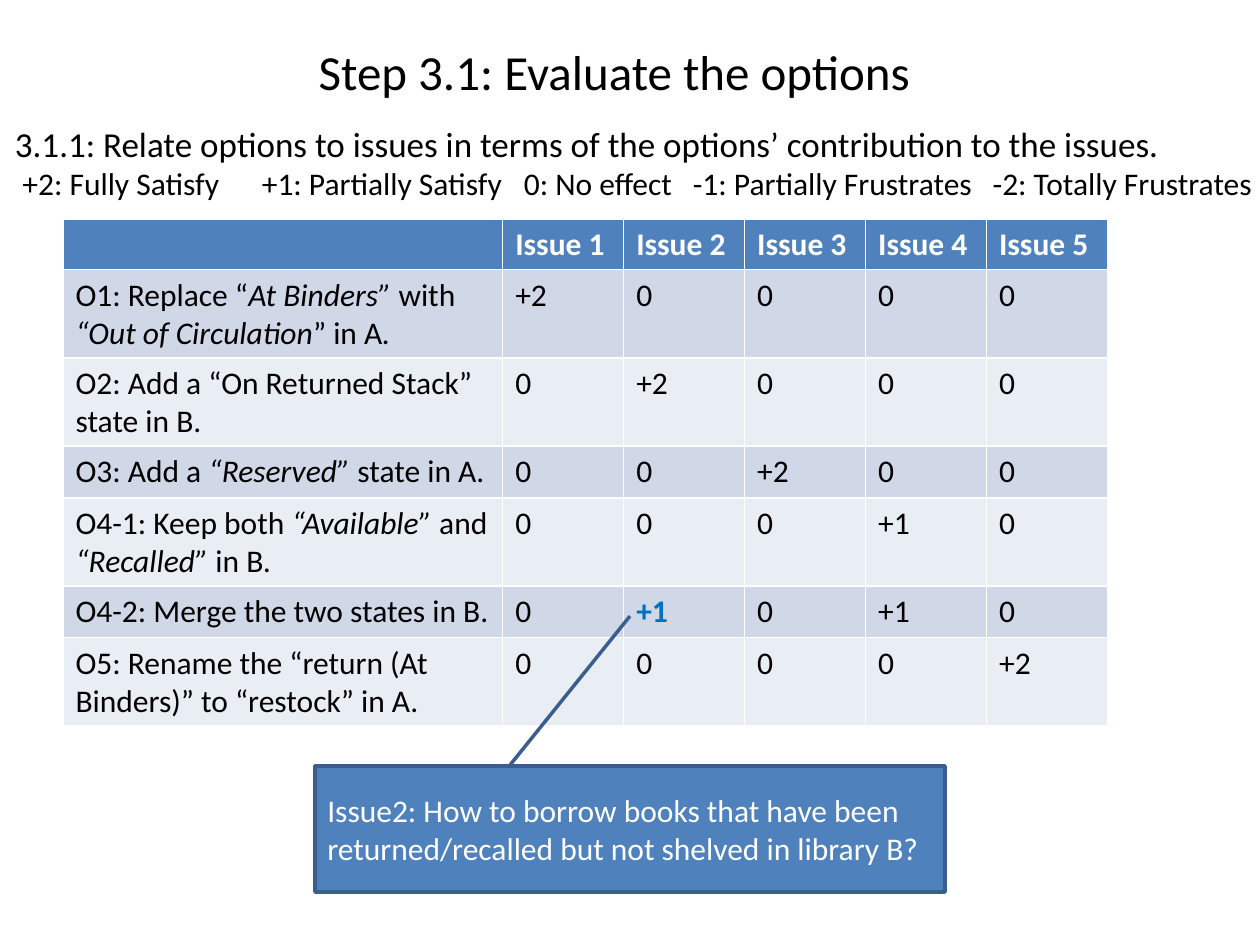
from lxml.etree import SubElement
from pptx import Presentation
from pptx.dml.color import RGBColor
from pptx.enum.shapes import MSO_SHAPE
from pptx.enum.text import MSO_ANCHOR, PP_ALIGN
from pptx.oxml.ns import qn
from pptx.util import Inches, Pt

BLACK, WHITE, BLUE, HIGHLIGHT = "000000", "FFFFFF", "4F81BD", "0070C0"
OUTLINE = "3A5F8C"
BANDS = ("D0D8E8", "E9EDF4")

HEADINGS = ["", *(f"Issue {number}" for number in range(1, 6))]
OPTIONS = [
    ("O1: Replace “*At Binders”* with *“Out of Circulation*” in A*.*", "+2", "0", "0", "0", "0"),
    ("O2: Add a “On Returned Stack” state in B.", "0", "+2", "0", "0", "0"),
    ("O3: Add a *“Reserved”* state in A.", "0", "0", "+2", "0", "0"),
    ("O4-1: Keep both *“Available” *and *“Recalled” *in B*.*", "0", "0", "0", "+1", "0"),
    ("O4-2: Merge the two states in B.", "0", "+1", "0", "+1", "0"),
    ("O5: Rename the “return (At Binders)” to “restock” in A.", "0", "0", "0", "0", "+2"),
]
SCALE = ["+2: Fully Satisfy", "+1: Partially Satisfy", "0: No effect",
         "-1: Partially Frustrates", "-2: Totally Frustrates"]
SCALE_INDENT = 0.06
SCALE_TABS = [1.9, 3.98, 5.32, 7.7]


def color(value):
    return RGBColor.from_string(value)


class SlideBuilder:
    """Holds the text style and the current slide, and adds elements to it."""

    def __init__(self, slide, font_name="Calibri", font_size=18):
        self.slide = slide
        self.font_name = font_name
        self.font_size = font_size

    def fill_paragraph(self, paragraph, text, font_color=BLACK, size=None, bold=False):
        for index, part in enumerate(text.split("*")):
            if part:
                run = paragraph.add_run()
                run.text = part
                if index % 2:
                    run.font.italic = True
        font = paragraph.font
        font.name = self.font_name
        font.size = Pt(size or self.font_size)
        font.bold = bold
        font.color.rgb = color(font_color)

    def title(self, text, left, top, width, height):
        shape = self.slide.shapes.title
        shape.left, shape.top = Inches(left), Inches(top)
        shape.width, shape.height = Inches(width), Inches(height)
        shape.text_frame.vertical_anchor = MSO_ANCHOR.MIDDLE
        paragraph = shape.text_frame.paragraphs[0]
        paragraph.alignment = PP_ALIGN.CENTER
        self.fill_paragraph(paragraph, text, size=28)

    def introduction(self, text, scale, left, top, width, height):
        box = self.slide.shapes.add_textbox(
            Inches(left), Inches(top), Inches(width), Inches(height))
        frame = box.text_frame
        frame.word_wrap = True
        self.fill_paragraph(frame.paragraphs[0], text, size=20)
        paragraph = frame.add_paragraph()
        properties = paragraph._p.get_or_add_pPr()
        properties.set("marL", str(Inches(SCALE_INDENT)))
        tabs = SubElement(properties, qn("a:tabLst"))
        for position in SCALE_TABS:
            SubElement(tabs, qn("a:tab"), pos=str(Inches(position)), algn="l")
        self.fill_paragraph(paragraph, "\t".join(scale))

    def table(self, headings, rows, left, top, widths, heights, highlighted):
        table = self.slide.shapes.add_table(
            len(rows) + 1, len(headings), Inches(left), Inches(top),
            Inches(sum(widths)), Inches(sum(heights))).table
        for column, width in zip(table.columns, widths):
            column.width = Inches(width)
        for row, height in zip(table.rows, heights):
            row.height = Inches(height)
        for row_index, values in enumerate([headings, *rows]):
            header = row_index == 0
            fill = BLUE if header else BANDS[(row_index - 1) % 2]
            for column_index, text in enumerate(values):
                marked = (row_index, column_index) == highlighted
                font_color = WHITE if header else HIGHLIGHT if marked else BLACK
                cell = table.cell(row_index, column_index)
                cell.fill.solid()
                cell.fill.fore_color.rgb = color(fill)
                self.fill_paragraph(cell.text_frame.paragraphs[0], text, font_color,
                                    bold=header or marked)

    def callout(self, text, left, top, width, height, pointer):
        shape = self.slide.shapes.add_shape(
            MSO_SHAPE.LINE_CALLOUT_1, Inches(left), Inches(top), Inches(width), Inches(height))
        for index, value in enumerate(pointer):
            shape.adjustments[index] = value
        shape.shadow.inherit = False
        shape.fill.solid()
        shape.fill.fore_color.rgb = color(BLUE)
        shape.line.color.rgb = color(OUTLINE)
        shape.line.width = Pt(2)
        shape.text_frame.word_wrap = True
        shape.text_frame.vertical_anchor = MSO_ANCHOR.MIDDLE
        paragraph = shape.text_frame.paragraphs[0]
        paragraph.alignment = PP_ALIGN.LEFT
        self.fill_paragraph(paragraph, text, WHITE)


def main():
    presentation = Presentation()
    presentation.slide_width, presentation.slide_height = Inches(10), Inches(7.5)
    builder = SlideBuilder(presentation.slides.add_slide(presentation.slide_layouts[5]))
    builder.title("Step 3.1: Evaluate the options", 0.25, 0.3, 9.25, 0.53)
    builder.introduction(
        "3.1.1: Relate options to issues in terms of the options’ contribution to the issues.",
        SCALE, 0.02, 0.92, 10.09, 0.74)
    builder.table(HEADINGS, OPTIONS, 0.5, 1.74, [3.49] + [0.96] * 5, [0.4] + [0.41] * 6,
                  highlighted=(5, 2))
    builder.callout(
        "Issue2: How to borrow books that have been returned/recalled "
        "but not shelved in library B?",
        2.5, 6.08, 5, 1, pointer=(-0.01, 0.31, -1.19, 0.5))
    presentation.save("out.pptx")


if __name__ == "__main__":
    main()
